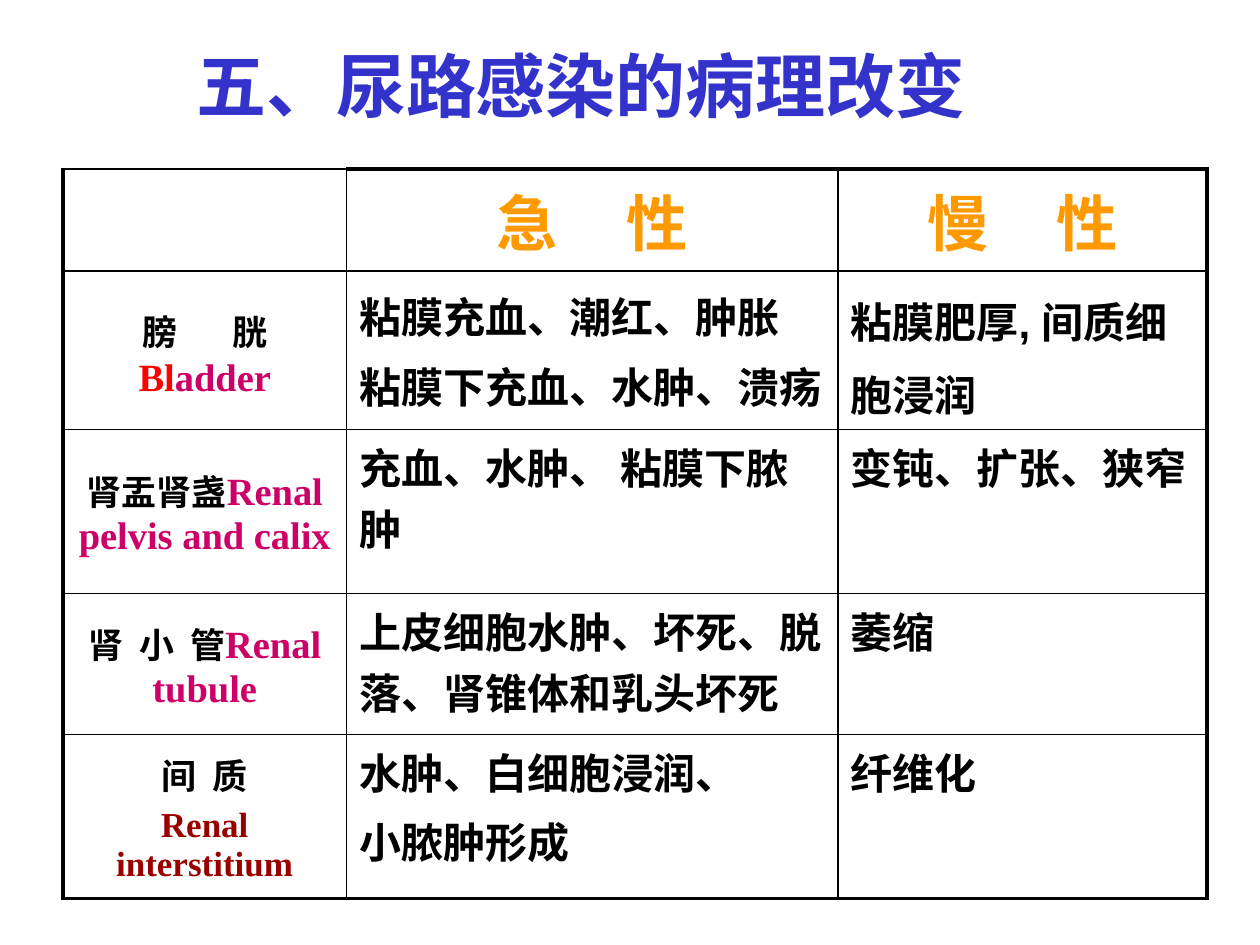
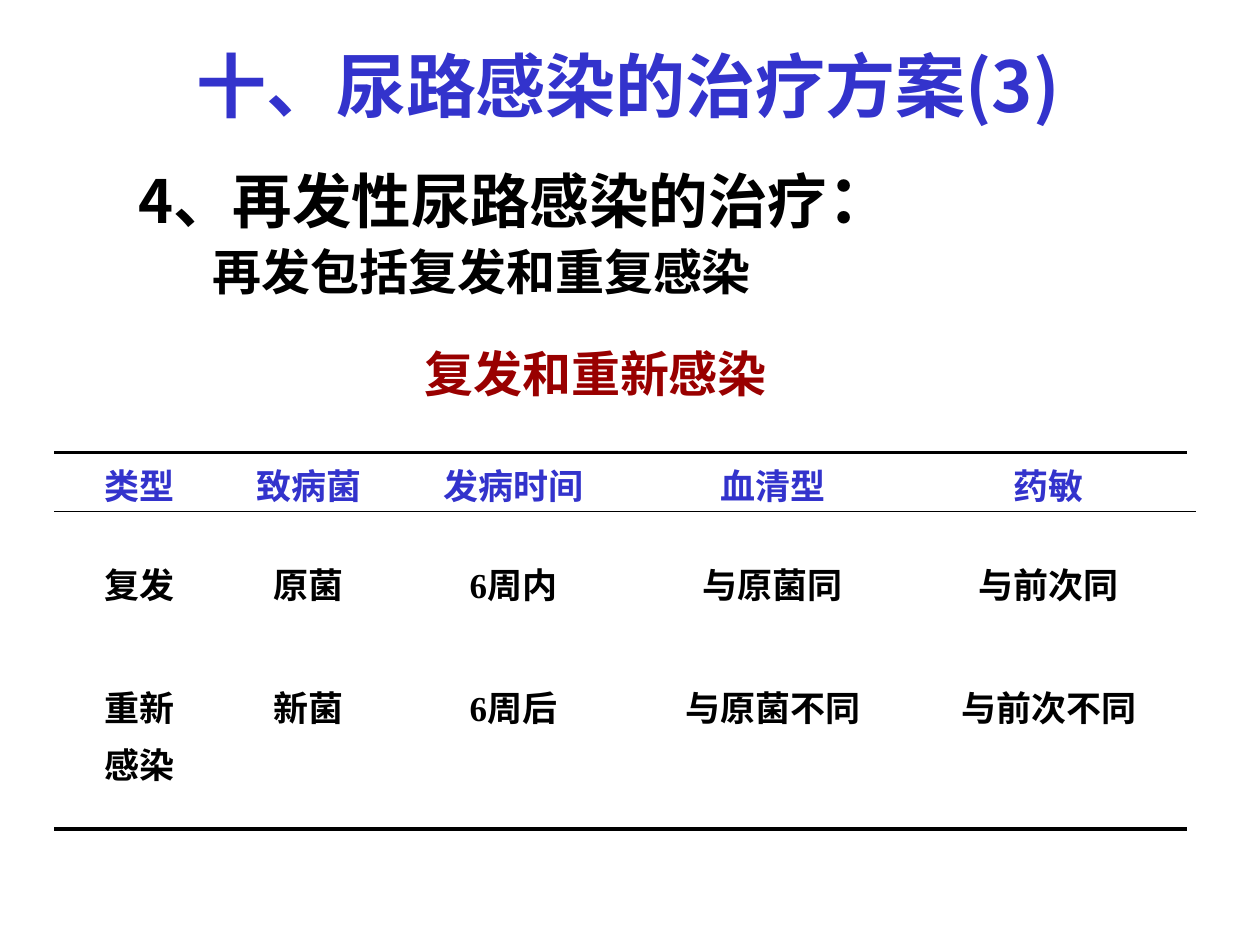
from lxml import etree
from pptx import Presentation
from pptx.dml.color import RGBColor
from pptx.enum import shapes, text
from pptx.oxml.ns import qn
from pptx.util import Inches, Pt

BLUE = RGBColor(0x33, 0x33, 0xCC)
BLACK = RGBColor(0, 0, 0)
ORANGE = RGBColor(0xFF, 0x99, 0x00)
RED = RGBColor(0xFF, 0, 0)
PINK = RGBColor(0xCC, 0, 0x66)
DARK_RED = RGBColor(0x99, 0, 0)

SERIF, SANS, CJK = "Times New Roman", "Arial", "Noto Sans CJK SC"
LEFT, CENTER = text.PP_ALIGN.LEFT, text.PP_ALIGN.CENTER
TOP, MIDDLE = text.MSO_ANCHOR.TOP, text.MSO_ANCHOR.MIDDLE
THIN, THICK = 1, 2.25


def set_font(font, size, color, name):
    font.size, font.bold, font.name = Pt(size), True, name
    font.color.rgb = color
    font._rPr.find(qn("a:latin")).addnext(
        etree.Element(qn("a:ea"), typeface=CJK))


def add_run(p, words, gap=0):
    r = p.add_run()
    r.text = words
    if gap:
        r._r.get_or_add_rPr().set("spc", str(int(gap * 100)))
    return r


def add_words(p, words, gap=0):
    if not gap:
        return [add_run(p, words)]
    runs = []
    for i, word in enumerate(words.split(" ")):
        if i:
            runs.append(add_run(p, " ", gap))
        runs.append(add_run(p, word))
    return runs


def fill_lines(tf, lines, size, color, name, align=LEFT, gap=0):
    for i, line in enumerate(lines):
        p = tf.add_paragraph() if i else tf.paragraphs[0]
        p.alignment = align
        if i:
            p.space_before = Pt(size * 0.2)
        add_words(p, line, gap)
        set_font(p.font, size, color, name)


def add_text(s, box, words, size, color, name):
    tf = s.shapes.add_textbox(*map(Inches, box)).text_frame
    tf.word_wrap = True
    fill_lines(tf, [words], size, color, name)
    return tf


def add_title(s, words, name):
    add_text(s, (1.46, 0.29, 7.64, 0.91), words, 40, BLUE, name)


def set_borders(cell, **widths):
    tcPr = cell._tc.get_or_add_tcPr()
    for side in "LRTB":
        width = widths.get(side, 0)
        ln = etree.SubElement(tcPr, qn("a:ln" + side), w=str(Pt(width)))
        if width:
            fill = etree.SubElement(ln, qn("a:solidFill"))
            etree.SubElement(fill, qn("a:srgbClr"), val=str(BLACK))
        else:
            etree.SubElement(ln, qn("a:noFill"))
    cell.fill.background()


def add_grid(s, left, top, widths, heights):
    table = s.shapes.add_table(
        len(heights), len(widths), Inches(left), Inches(top),
        Inches(sum(widths)), Inches(sum(heights))).table
    table.first_row = table.horz_banding = False
    for column, width in zip(table.columns, widths):
        column.width = Inches(width)
    for row, height in zip(table.rows, heights):
        row.height = Inches(height)
    return table


def add_organ(cell, chinese, gap, english):
    p = cell.text_frame.paragraphs[0]
    p.alignment = CENTER
    for r in add_words(p, chinese, gap):
        set_font(r.font, 20, BLACK, SERIF)
    for words, color in english:
        set_font(add_run(p, words).font, 22, color, SERIF)


def add_pathology_table(s, left, top):
    table = add_grid(s, left, top, [2.25, 3.9, 2.93],
                     [0.81, 1.26, 1.3, 1.12, 1.3])
    organs = [
        ("膀 胱", 27, [(" Bl", RED), ("adder", PINK)]),
        ("肾盂肾盏", 0, [("Renal pelvis and calix", PINK)]),
        ("肾 小 管", 4.5, [("Renal tubule", PINK)]),
    ]
    findings = [
        (["粘膜充血、潮红、肿胀", "粘膜下充血、水肿、溃疡"],
         ["粘膜肥厚, 间质细胞浸润"]),
        (["充血、水肿、 粘膜下脓肿"], ["变钝、扩张、狭窄"]),
        (["上皮细胞水肿、坏死、脱落、肾锥体和乳头坏死"], ["萎缩"]),
        (["水肿、白细胞浸润、", "小脓肿形成"], ["纤维化"]),
    ]
    for i in range(5):
        for j in range(3):
            cell = table.cell(i, j)
            cell.vertical_anchor = MIDDLE if j == 0 or i == 0 else TOP
            set_borders(cell, L=THIN if j else THICK,
                        R=THICK if j == 2 else THIN,
                        T=THICK if i == 0 and j else THIN,
                        B=THICK if i == 4 else THIN)
    for j, stage in enumerate(["急 性", "慢 性"], 1):
        fill_lines(table.cell(0, j).text_frame, [stage], 35, ORANGE, SANS,
                   CENTER, gap=31)
    for i, organ in enumerate(organs, 1):
        add_organ(table.cell(i, 0), *organ)
    tf = table.cell(4, 0).text_frame
    fill_lines(tf, ["间 质", "Renal interstitium"], 20, BLACK, SERIF, CENTER)
    tf.paragraphs[0].runs[0].text = ""
    tf.paragraphs[0].clear()
    add_words(tf.paragraphs[0], "间 质", 4.5)
    tf.paragraphs[1].font.color.rgb = DARK_RED
    for i, row in enumerate(findings, 1):
        for j, lines in enumerate(row, 1):
            fill_lines(table.cell(i, j).text_frame, lines, 24, BLACK, SANS)
    table.cell(1, 1).vertical_anchor = MIDDLE
    table.cell(1, 2).text_frame.paragraphs[0].line_spacing = 1.2


def add_relapse_table(s, left, top):
    table = add_grid(s, left, top, [1.36, 1.32, 1.93, 2.19, 2.19],
                     [0.79, 0.97, 1.23])
    rows = [
        ["类型", "致病菌", "发病时间", "血清型", "药敏"],
        ["复发", "原菌", "6周内", "与原菌同", "与前次同"],
        ["重新\n感染", "新菌", "6周后", "与原菌不同", "与前次不同"],
    ]
    for i, row in enumerate(rows):
        for j, words in enumerate(row):
            cell = table.cell(i, j)
            set_borders(cell, T=0 if i else THICK, B=THICK if i == 2 else 0)
            fill_lines(cell.text_frame, words.split("\n"), 20,
                       BLACK if i else BLUE,
                       SERIF if i and j < 3 else SANS, CENTER)
    y = Inches(top + 0.47)
    rule = s.shapes.add_connector(shapes.MSO_CONNECTOR.STRAIGHT, Inches(left),
                                  y, Inches(left + 9.06), y)
    rule.line.color.rgb = BLACK
    rule.line.width = Pt(0.75)
    etree.SubElement(rule._element.spPr, qn("a:effectLst"))


def add_heading(s, box):
    tf = s.shapes.add_textbox(*map(Inches, box)).text_frame
    tf.word_wrap = True
    tf.vertical_anchor = MIDDLE
    p = tf.paragraphs[0]
    for words, size in [("4、再发性尿路感染的治疗", 34), ("：", 38)]:
        set_font(add_run(p, words).font, size, BLACK, CJK)


def pathology_slide(prs):
    s = prs.slides.add_slide(prs.slide_layouts[6])
    add_pathology_table(s, 0.5, 1.34)
    add_title(s, "五、尿路感染的病理改变", SERIF)


def treatment_slide(prs):
    s = prs.slides.add_slide(prs.slide_layouts[6])
    add_title(s, "十、尿路感染的治疗方案(3)", CJK)
    add_heading(s, (1, 1.11, 6.5, 0.9))
    add_text(s, (1.59, 1.87, 4.9, 0.67), "再发包括复发和重复感染", 28, BLACK, SANS)
    add_text(s, (3.27, 2.68, 3.46, 0.67), "复发和重新感染", 28, DARK_RED, SERIF)
    add_relapse_table(s, 0.43, 3.59)


def main():
    prs = Presentation()
    prs.slide_width, prs.slide_height = Inches(10), Inches(7.5)
    pathology_slide(prs)
    treatment_slide(prs)
    prs.save("out.pptx")


if __name__ == "__main__":
    main()
